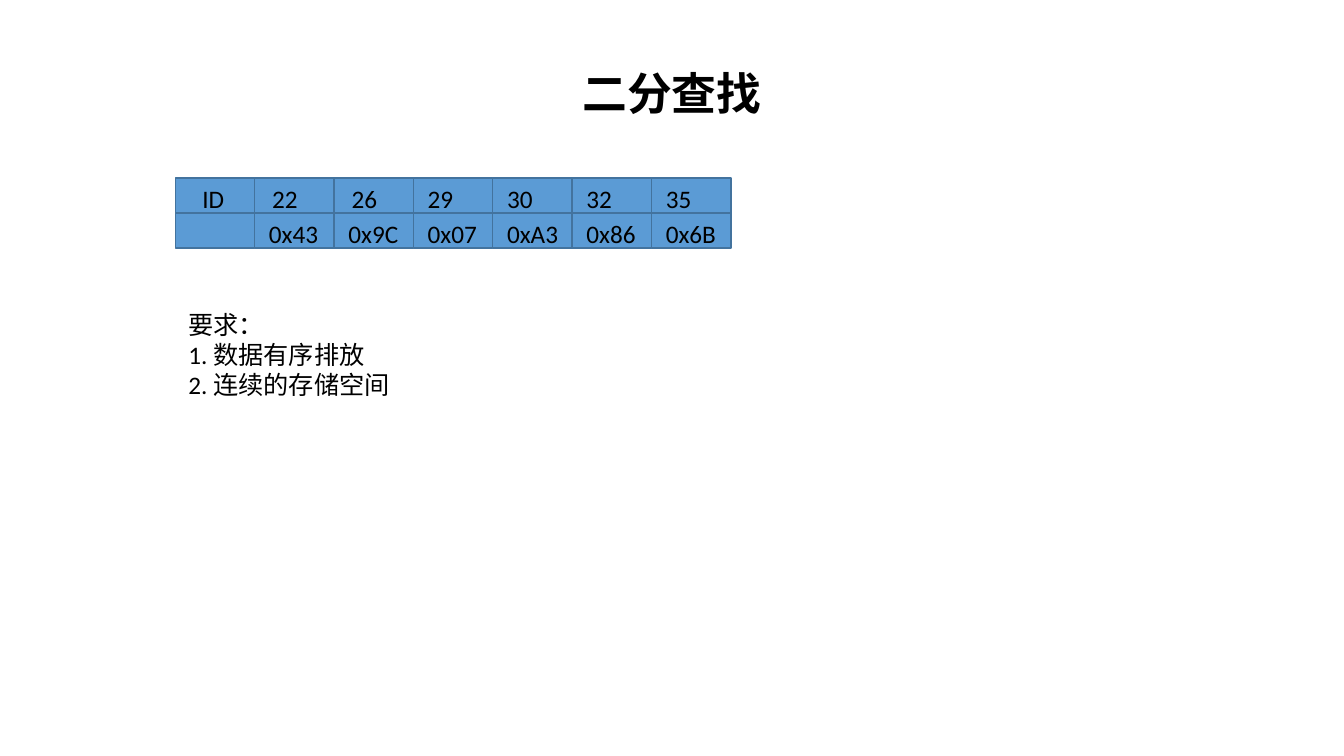
from dataclasses import dataclass

from pptx import Presentation
from pptx.dml.color import RGBColor as RGB
from pptx.enum.shapes import MSO_SHAPE as Shape
from pptx.enum.text import MSO_ANCHOR as Anchor, MSO_AUTO_SIZE as AutoSize, PP_ALIGN as Align
from pptx.util import Cm, Pt


@dataclass(frozen=True)
class Theme:
    font: str = "Calibri"
    ink: RGB = RGB(0x00, 0x00, 0x00)
    cell: RGB = RGB(0x5B, 0x9B, 0xD5)
    border: RGB = RGB(0x43, 0x73, 0x9E)
    title_size: int = 32
    body_size: int = 18
    border_width: int = 1


class SlideBuilder:
    def __init__(self, slide, theme):
        self.slide = slide
        self.theme = theme

    def style(self, paragraph, size, bold=False):
        font = paragraph.font
        font.name = self.theme.font
        font.size = Pt(size)
        font.bold = bold
        font.color.rgb = self.theme.ink

    def text(self, lines, left, top, width, height, wrap=True):
        box = self.slide.shapes.add_textbox(Cm(left), Cm(top), Cm(width), Cm(height))
        frame = box.text_frame
        frame.word_wrap = wrap
        frame.auto_size = AutoSize.SHAPE_TO_FIT_TEXT
        frame.text = "\n".join(lines)
        for paragraph in frame.paragraphs:
            self.style(paragraph, self.theme.body_size)

    def title(self, words, left, top, width, height):
        box = self.slide.shapes.add_textbox(Cm(left), Cm(top), Cm(width), Cm(height))
        frame = box.text_frame
        frame.word_wrap = True
        frame.vertical_anchor = Anchor.MIDDLE
        frame.text = words
        heading = frame.paragraphs[0]
        heading.alignment = Align.CENTER
        heading.line_spacing = 0.9
        self.style(heading, self.theme.title_size, bold=True)

    def cell(self, left, top, width, height):
        cell = self.slide.shapes.add_shape(
            Shape.RECTANGLE, Cm(left), Cm(top), Cm(width), Cm(height))
        cell.shadow.inherit = False
        cell.fill.solid()
        cell.fill.fore_color.rgb = self.theme.cell
        cell.line.color.rgb = self.theme.border
        cell.line.width = Pt(self.theme.border_width)


# Index grid: record ID, its label's inset, address
RECORDS = [
    ("ID", 0.43, ""),
    ("22", 0.19, "0x43"),
    ("26", 0.19, "0x9C"),
    ("29", 0.11, "0x07"),
    ("30", 0.11, "0xA3"),
    ("32", 0.11, "0x86"),
    ("35", 0.11, "0x6B"),
]
GRID_LEFT, GRID_TOP = 4.42, 4.49
CELL_WIDTH, CELL_HEIGHT = 2, 0.88
RECORD_WIDTH, ADDRESS_WIDTH, LABEL_HEIGHT = 1.18, 1.82, 1.02
ADDRESS_INSET = 0.11


def main():
    deck = Presentation()
    deck.slide_width, deck.slide_height = Cm(33.87), Cm(19.05)
    builder = SlideBuilder(deck.slides.add_slide(deck.slide_layouts[6]), Theme())

    # Heading
    builder.title("二分查找", 2.33, 1.01, 29.21, 2.8)

    # Sorted records with their addresses below
    address_top = GRID_TOP + CELL_HEIGHT
    for column, (record, inset, address) in enumerate(RECORDS):
        left = GRID_LEFT + column * CELL_WIDTH
        for top in (GRID_TOP, address_top):
            builder.cell(left, top, CELL_WIDTH, CELL_HEIGHT)
        builder.text([record], left + inset, GRID_TOP,
                     RECORD_WIDTH, LABEL_HEIGHT, wrap=False)
        if address:
            builder.text([address], left + ADDRESS_INSET, address_top,
                         ADDRESS_WIDTH, LABEL_HEIGHT, wrap=False)

    # Requirements
    builder.text(["要求：", "1. 数据有序排放", "2. 连续的存储空间"], 4.5, 7.67, 16.3, 2.56)

    deck.save("out.pptx")


if __name__ == "__main__":
    main()
